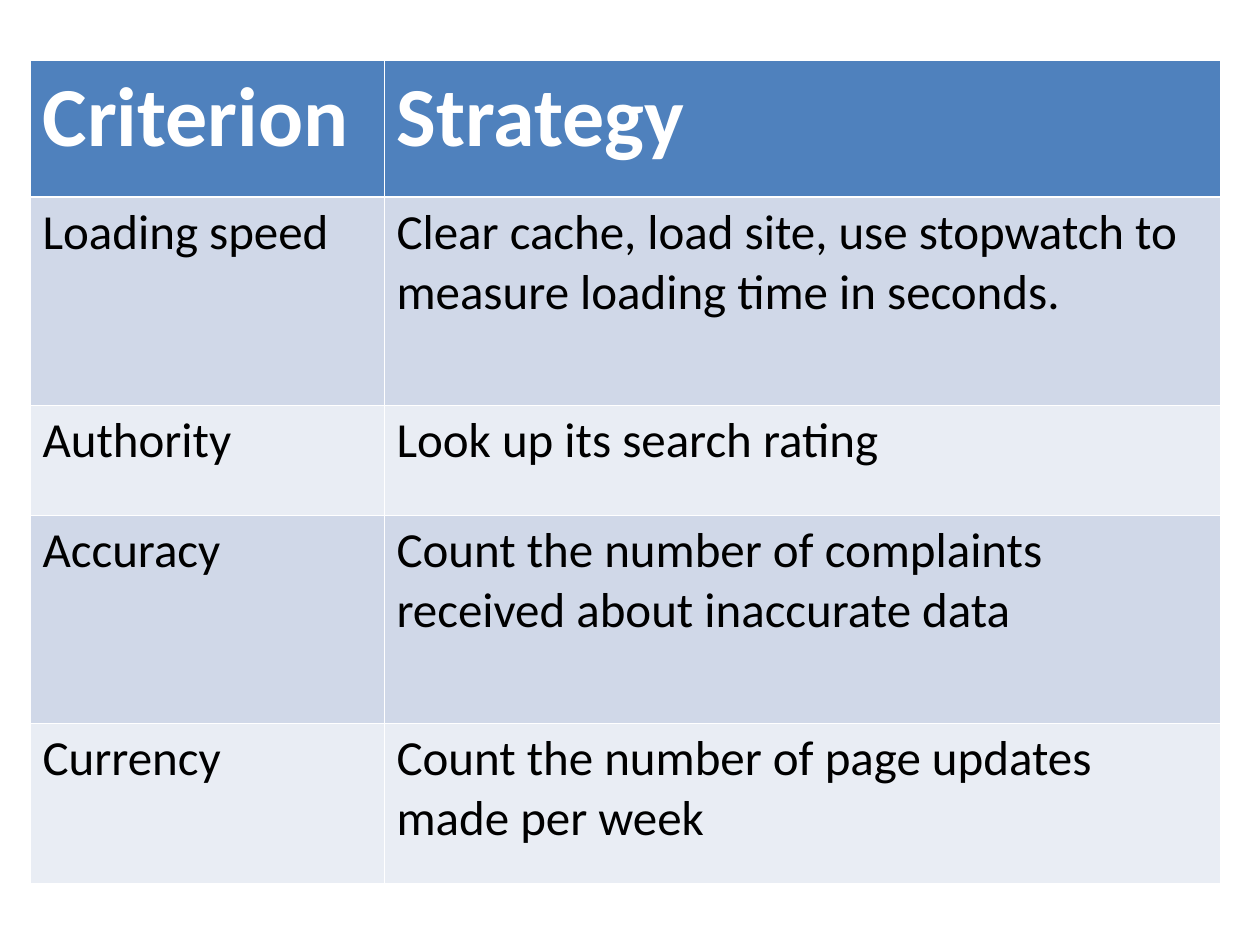
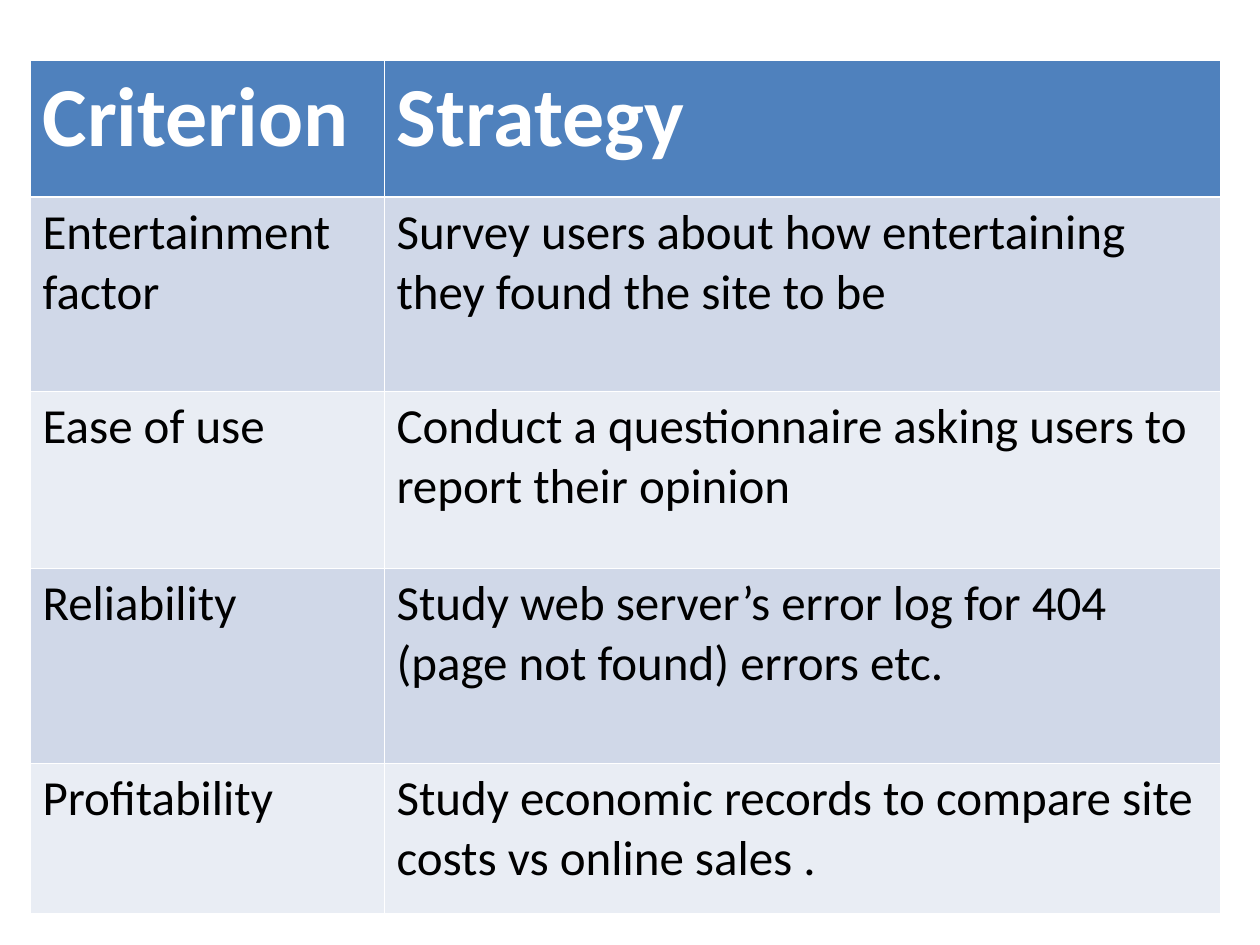
"""Build two slides of tables that pair website criteria with measuring strategies."""
from lxml import etree
from pptx import Presentation
from pptx.dml.color import RGBColor
from pptx.enum.text import MSO_ANCHOR
from pptx.oxml.ns import qn
from pptx.util import Pt

TOP = MSO_ANCHOR.TOP
FONT = "Calibri"
WHITE, BLACK = "FFFFFF", "000000"
HEADER_BLUE = "4F81BD"
BANDS = ["E9EDF4", "D0D8E8"]
THIN, THICK = 0.45, 1.47
TABLE_LEFT, TABLE_TOP = 30, 60
COLUMN_WIDTHS = [354, 836]
HEADER_HEIGHT = 137
HEADINGS = ("Criterion", "Strategy")

CRITERIA_SLIDES = [
    [
        (208, "Loading speed", "Clear cache, load site, use stopwatch to measure loading time in seconds."),
        (110, "Authority", "Look up its search rating"),
        (208, "Accuracy", "Count the number of complaints received about inaccurate data"),
        (160, "Currency", "Count the number of page updates made per week"),
    ],
    [
        (194, "Entertainment factor", "Survey users about how entertaining they found the site to be"),
        (177, "Ease of use", "Conduct a questionnaire asking users to report their opinion"),
        (195, "Reliability", "Study web server’s error log for 404 (page not found) errors etc."),
        (150, "Profitability", "Study economic records to compare site costs vs online sales ."),
    ],
]


def px(length):
    return round(length * 914400 / 126)


def rgb(color):
    return RGBColor.from_string(color)


prs = Presentation()
prs.slide_width, prs.slide_height = px(1260), px(945)

for criteria in CRITERIA_SLIDES:
    slide = prs.slides.add_slide(prs.slide_layouts[6])
    rows = [(HEADER_HEIGHT, *HEADINGS), *criteria]
    table = slide.shapes.add_table(
        len(rows), len(COLUMN_WIDTHS), px(TABLE_LEFT), px(TABLE_TOP),
        px(sum(COLUMN_WIDTHS)), px(sum(row[0] for row in rows)),
    ).table
    for column, width in zip(table.columns, COLUMN_WIDTHS):
        column.width = px(width)

    for row_index, (height, *texts) in enumerate(rows):
        table.rows[row_index].height = px(height)
        is_header = row_index == 0
        borders = {
            "lnL": THIN,
            "lnR": THIN,
            "lnT": THICK if row_index == 1 else THIN,
            "lnB": THICK if is_header else THIN,
        }
        for column_index, text in enumerate(texts):
            cell = table.cell(row_index, column_index)
            cell.vertical_anchor = TOP
            cell.margin_left = cell.margin_right = Pt(7.2)
            cell.margin_top = cell.margin_bottom = Pt(3.6)
            properties = cell._tc.get_or_add_tcPr()
            for side, weight in borders.items():
                border = etree.SubElement(properties, qn(f"a:{side}"), w=str(Pt(weight)))
                border_fill = etree.SubElement(border, qn("a:solidFill"))
                etree.SubElement(border_fill, qn("a:srgbClr"), val=WHITE)
            cell.fill.solid()
            cell.fill.fore_color.rgb = rgb(HEADER_BLUE if is_header else BANDS[row_index % 2])

            run = cell.text_frame.paragraphs[0].add_run()
            run.text = text
            run.font.name = FONT
            run.font.size = Pt(48 if is_header else 28)
            run.font.bold = is_header
            run.font.color.rgb = rgb(WHITE if is_header else BLACK)

prs.save("out.pptx")
